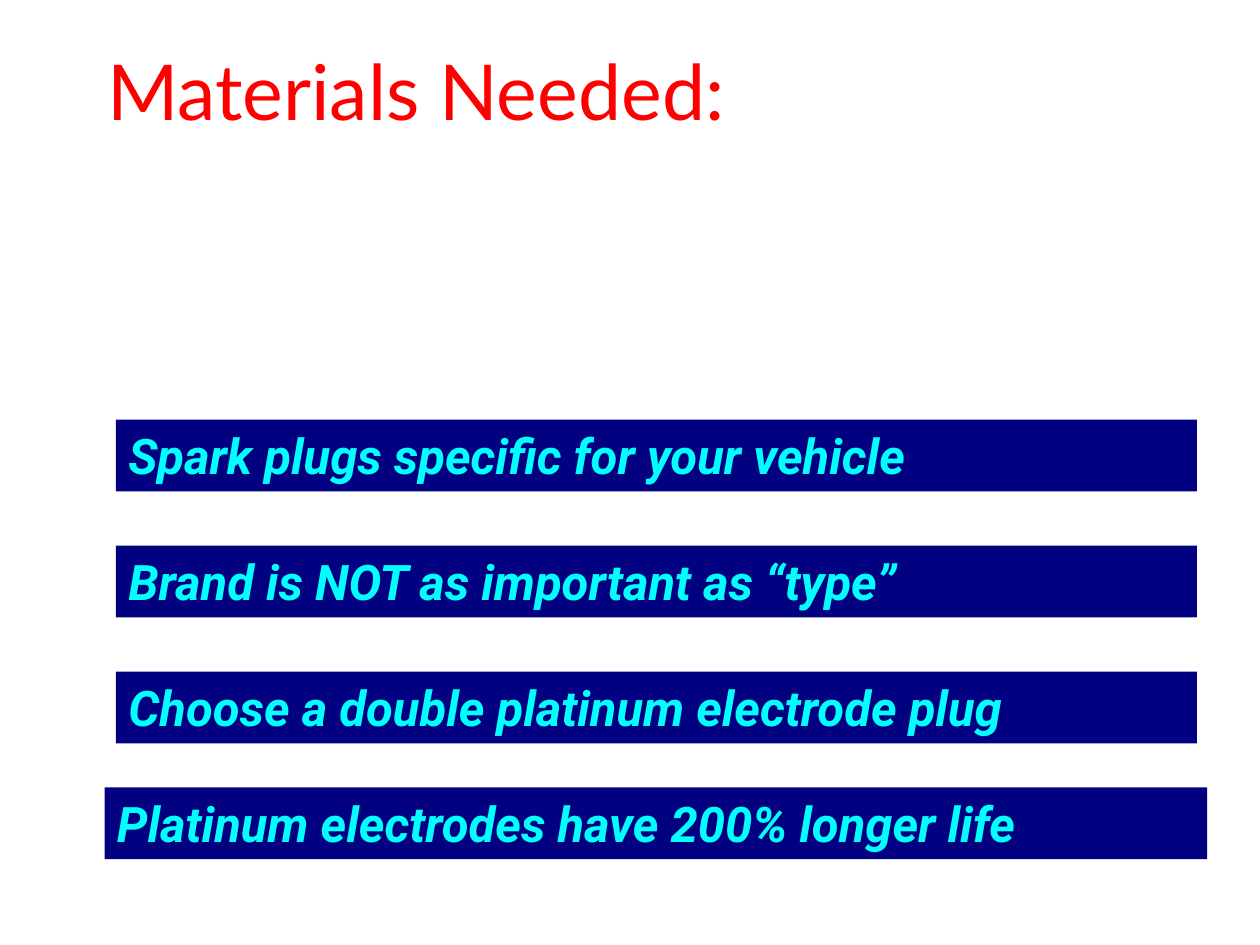
from dataclasses import dataclass

from pptx import Presentation
from pptx.dml.color import RGBColor
from pptx.enum.shapes import MSO_SHAPE
from pptx.enum.text import MSO_ANCHOR, PP_ALIGN
from pptx.util import Inches, Pt


@dataclass(frozen=True)
class Theme:
    """Colours, fonts and type sizes of the deck."""

    title_color: RGBColor = RGBColor(0xFF, 0x00, 0x00)
    bar_fill: RGBColor = RGBColor(0x00, 0x00, 0x80)
    bar_text: RGBColor = RGBColor(0x00, 0xFF, 0xFF)
    title_font: str = "Lato"
    bar_font: str = "Roboto"
    title_size: Pt = Pt(44)
    bar_size: Pt = Pt(28)


class SlideBuilder:
    """Holds the theme and the current slide."""

    def __init__(self, slide, theme):
        """Keep the slide to fill and the theme to use."""
        self.slide = slide
        self.theme = theme

    def set_text(self, shape, text, font_name, size, color, anchor):
        """Put one left-aligned paragraph into a shape."""
        frame = shape.text_frame
        frame.word_wrap = True
        frame.vertical_anchor = anchor
        frame.text = text
        paragraph = frame.paragraphs[0]
        paragraph.alignment = PP_ALIGN.LEFT
        font = paragraph.font
        font.name = font_name
        font.size = size
        font.color.rgb = color
        return font

    def title(self, text, left, top, width, height):
        """Move and fill the title placeholder."""
        title = self.slide.shapes.title
        title.left, title.top = Inches(left), Inches(top)
        title.width, title.height = Inches(width), Inches(height)
        theme = self.theme
        self.set_text(title, text, theme.title_font, theme.title_size,
                      theme.title_color, MSO_ANCHOR.MIDDLE)

    def bar(self, text, left, top, width, height=0.57):
        """Draw a filled bar with bold italic text."""
        theme = self.theme
        bar = self.slide.shapes.add_shape(
            MSO_SHAPE.RECTANGLE, Inches(left), Inches(top), Inches(width), Inches(height))
        bar.shadow.inherit = False
        bar.fill.solid()
        bar.fill.fore_color.rgb = theme.bar_fill
        bar.line.fill.background()
        font = self.set_text(bar, text, theme.bar_font, theme.bar_size,
                             theme.bar_text, MSO_ANCHOR.TOP)
        font.bold = True
        font.italic = True


def main():
    """Build and save the materials slide."""
    deck = Presentation()
    deck.slide_width, deck.slide_height = Inches(10), Inches(7.5)
    page = SlideBuilder(deck.slides.add_slide(deck.slide_layouts[5]), Theme())

    page.title("Materials Needed:", 0.75, 0, 5.67, 1.42)
    requirements = [
        "Spark plugs specific for your vehicle",
        "Brand is NOT as important as “type”",
        "Choose a double platinum electrode plug",
    ]
    for row, requirement in enumerate(requirements):
        page.bar(requirement, 0.92, 3.33 + row, 8.58)
    page.bar("Platinum electrodes have 200% longer life", 0.83, 6.25, 8.75)

    deck.save("out.pptx")


if __name__ == "__main__":
    main()
